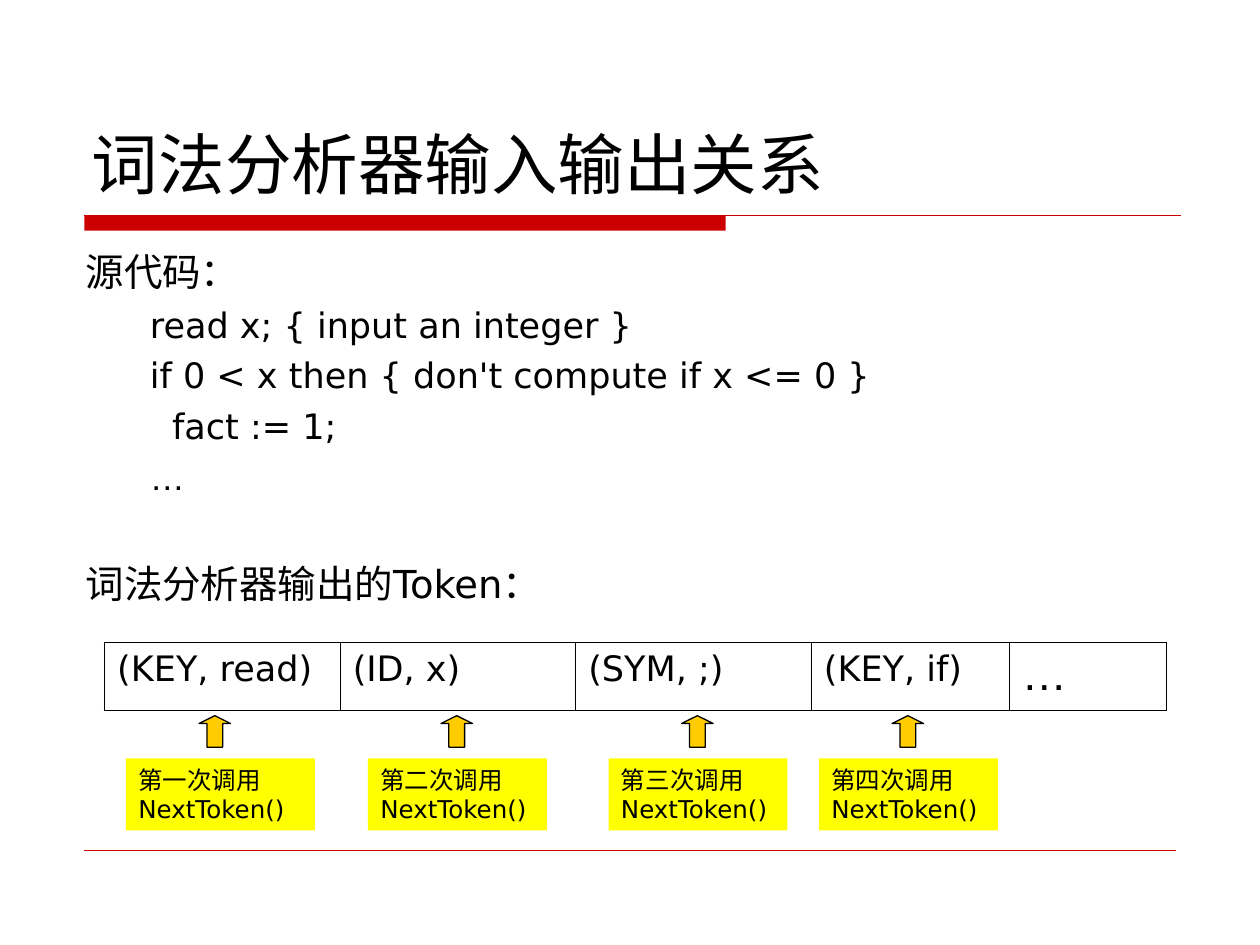
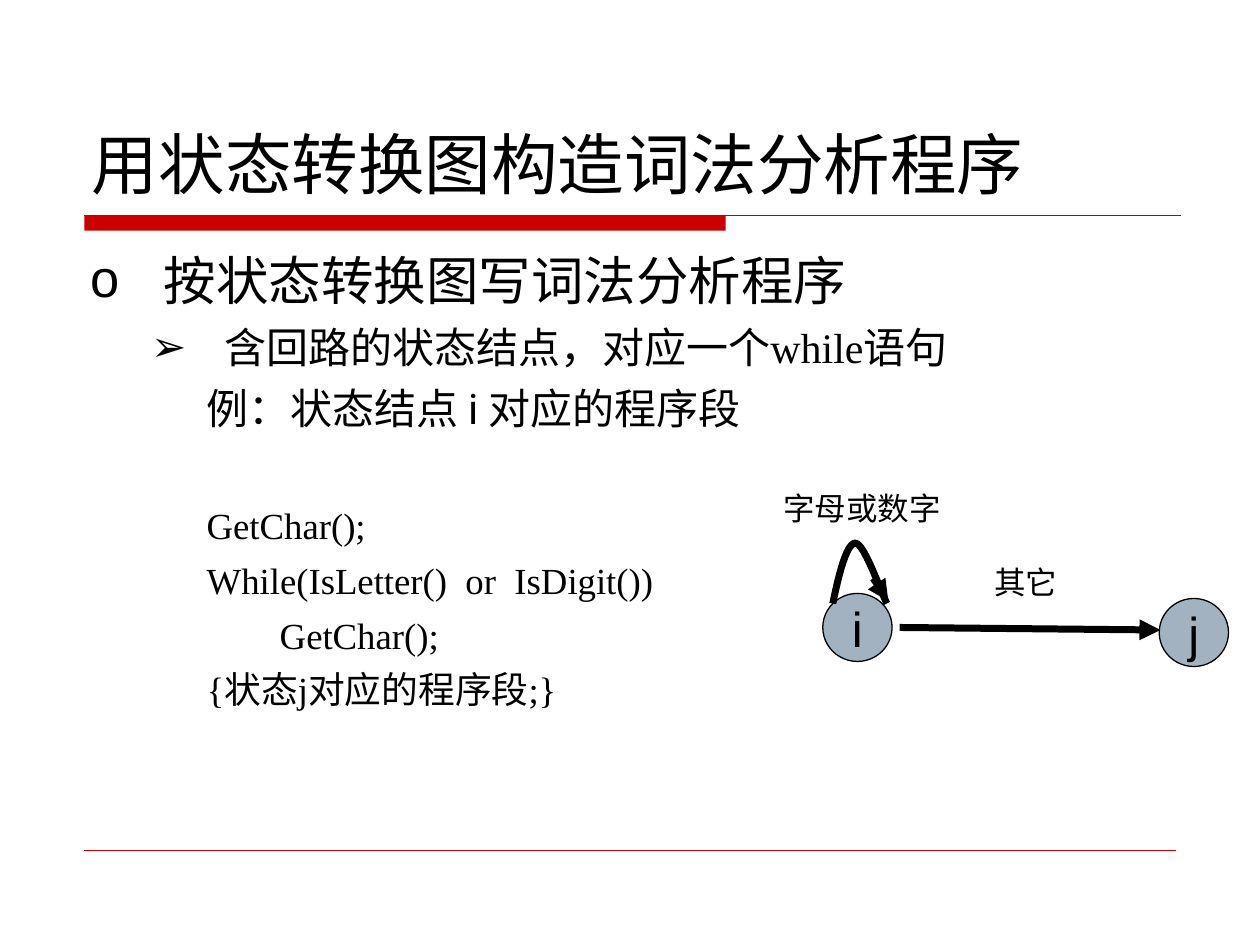
from lxml import etree
from pptx import Presentation
from pptx.dml.color import RGBColor
from pptx.enum.shapes import MSO_CONNECTOR, MSO_SHAPE
from pptx.enum.text import MSO_ANCHOR, MSO_AUTO_SIZE, PP_ALIGN
from pptx.oxml.ns import qn
from pptx.util import Inches, Pt

LEFT, CENTER, JUSTIFY = PP_ALIGN.LEFT, PP_ALIGN.CENTER, PP_ALIGN.JUSTIFY
TOP, MIDDLE, BOTTOM = MSO_ANCHOR.TOP, MSO_ANCHOR.MIDDLE, MSO_ANCHOR.BOTTOM
RECT, OVAL, ARROW = MSO_SHAPE.RECTANGLE, MSO_SHAPE.OVAL, MSO_SHAPE.UP_ARROW
STRAIGHT, FIXED = MSO_CONNECTOR.STRAIGHT, MSO_AUTO_SIZE.NONE

COLORS = {"ink": "000000", "red": "CC0000", "gold": "FFCC00",
          "yellow": "FFFF00", "node": "A3B2C1"}
SANS, SERIF, ARIAL = "DejaVu Sans", "Times New Roman", "Arial"
CJK, ROBOTO = "Noto Sans CJK SC", "Roboto"


def color(name):
    return RGBColor.from_string(COLORS[name])


def place(shape, box):
    shape.left, shape.top, shape.width, shape.height = map(Inches, box)


def style(par, size, font, align=LEFT):
    par.alignment = align
    for run in par.runs:
        run.font.size = Pt(size)
        run.font.name = font
        run.font.color.rgb = color("ink")


def bullet(par, mark, left, hang):
    """Set the indents in inches; no mark means no bullet."""
    props = par._p.get_or_add_pPr()
    props.set("marL", str(Inches(left)))
    props.set("indent", str(Inches(hang)))
    if mark:
        etree.SubElement(props, qn("a:buChar")).set("char", mark)
    else:
        etree.SubElement(props, qn("a:buNone"))


def add_line(slide, start, end, name, width, head=False):
    line = slide.shapes.add_connector(STRAIGHT, *map(Inches, start + end))
    line.line.color.rgb = color(name)
    line.line.width = Pt(width)
    if head:
        tail = etree.SubElement(line.line._get_or_add_ln(), qn("a:tailEnd"))
        tail.set("type", "triangle")
    etree.SubElement(line._element.spPr, qn("a:effectLst"))


def add_block(slide, kind, box, fill, edge=True):
    shape = slide.shapes.add_shape(kind, *map(Inches, box))
    shape.shadow.inherit = False
    shape.fill.solid()
    shape.fill.fore_color.rgb = color(fill)
    if edge:
        shape.line.color.rgb = color("ink")
        shape.line.width = Pt(0.75)
    else:
        shape.line.fill.background()
    return shape


def add_page(deck, text):
    """Add a slide with the shared title, red band and foot line."""
    slide = deck.slides.add_slide(deck.slide_layouts[1])
    title = slide.shapes.title
    place(title, (0.63, 0.33, 8.75, 1.33))
    frame = title.text_frame
    frame.text = text
    frame.auto_size = FIXED
    frame.vertical_anchor = BOTTOM
    style(frame.paragraphs[0], 38, SANS)
    add_block(slide, RECT, (0.67, 1.71, 5.09, 0.12), "red", edge=False)
    add_line(slide, (0.67, 1.71), (9.37, 1.71), "red", 0.75)
    add_line(slide, (0.67, 6.75), (9.33, 6.75), "red", 0.25)
    return slide


def fill_body(slide, box, rows, align):
    """Each row: text, size, font, space before, mark, left, hang."""
    body = slide.placeholders[1]
    place(body, box)
    frame = body.text_frame
    frame.text = "\n".join(row[0] for row in rows)
    frame.auto_size = FIXED
    frame.vertical_anchor = TOP
    for par, (_, size, font, gap, mark, left, hang) in zip(frame.paragraphs, rows):
        bullet(par, mark, left, hang)
        par.space_before = Pt(gap)
        style(par, size, font, align)
    return frame


def add_border(cell, side, width):
    props = cell._tc.get_or_add_tcPr()
    line = etree.SubElement(props, qn("a:ln" + side), w=str(Pt(width)))
    fill = etree.SubElement(line, qn("a:solidFill"))
    etree.SubElement(fill, qn("a:srgbClr")).set("val", COLORS["ink"])


def add_tokens(slide, box):
    tokens = ["(KEY, read)", "(ID, x)", "(SYM, ;)", "(KEY, if)", "…"]
    widths = [1.87, 1.87, 1.87, 1.57, 1.25]
    last = len(tokens) - 1
    table = slide.shapes.add_table(1, len(tokens), *map(Inches, box)).table
    table.first_row = table.horz_banding = False
    for i, (token, width) in enumerate(zip(tokens, widths)):
        table.columns[i].width = Inches(width)
        cell = table.cell(0, i)
        cell.text_frame.text = token
        style(cell.text_frame.paragraphs[0], *((26, ARIAL) if i == last else (20, SANS)))
        add_border(cell, "L", 0.45 if i else 1.08)
        add_border(cell, "R", 1.08 if i == last else 0.45)
        add_border(cell, "T", 1.08)
        add_border(cell, "B", 1.08)
        cell.fill.background()


def add_call(slide, box, count):
    """Add a yellow call label with an arrow above it."""
    x, y, _, _ = box
    label = add_block(slide, RECT, box, "yellow", edge=False)
    frame = label.text_frame
    frame.text = f"第{count}次调用NextToken()"
    frame.word_wrap = True
    frame.vertical_anchor = TOP
    style(frame.paragraphs[0], 14, SANS)
    arrow = add_block(slide, ARROW, (x + 0.58, y - 0.34, 0.25, 0.25), "gold")
    arrow.adjustments[0], arrow.adjustments[1] = 0.5, 0.25


def add_label(slide, box, text):
    shape = slide.shapes.add_textbox(*map(Inches, box))
    frame = shape.text_frame
    frame.text = text
    frame.word_wrap = True
    style(frame.paragraphs[0], 18, ARIAL, CENTER)


def add_node(slide, box, name):
    frame = add_block(slide, OVAL, box, "node").text_frame
    frame.text = name
    frame.word_wrap = False
    frame.vertical_anchor = MIDDLE
    style(frame.paragraphs[0], 28, ARIAL, CENTER)


def curve(a, b, c, d, steps=12):
    """Return points along a cubic curve."""
    for i in range(steps + 1):
        t = i / steps
        s = 1 - t
        yield tuple(s**3 * p + 3 * s * s * t * q + 3 * s * t * t * r + t**3 * u
                    for p, q, r, u in zip(a, b, c, d))


def add_loop(slide, x, y):
    """Draw the arc from a node to itself, with its arrowhead."""
    rise = curve((0, 0.48), (0.05, 0.24), (0.11, 0), (0.18, 0))
    fall = curve((0.18, 0), (0.25, 0), (0.39, 0.41), (0.43, 0.48))
    points = [(Inches(x + u), Inches(y + v)) for u, v in [*rise, *fall]]
    draft = slide.shapes.build_freeform(*points[0])
    draft.add_line_segments(points[1:], close=False)
    arc = draft.convert_to_shape()
    arc.shadow.inherit = False
    arc.fill.background()
    arc.line.color.rgb = color("ink")
    arc.line.width = Pt(4)
    add_line(slide, (x + 0.32, y + 0.28), (x + 0.44, y + 0.46), "ink", 4, head=True)


def add_graph(slide, box):
    x, y, width, _ = box
    add_label(slide, (x + 1.07, y + 0.59, 2.3, 0.4), "其它")
    add_node(slide, (x + 0.61, y + 0.88, 0.55, 0.54), "i")
    add_node(slide, (x + width - 0.55, y + 0.92, 0.55, 0.54), "j")
    add_line(slide, (x + 1.22, y + 1.15), (x + 3.29, y + 1.17), "ink", 4, head=True)
    add_loop(slide, x + 0.69, y + 0.48)
    add_label(slide, (x, y, 1.84, 0.4), "字母或数字")


def token_page(deck):
    slide = add_page(deck, "词法分析器输入输出关系")
    head, code = (None, 0.51, -0.51), (None, 0.51, 0)
    rows = [("源代码：", 22, SANS, 0, *head),
            ("read x; { input an integer }", 20, SANS, 5, *code),
            ("if 0 < x then { don't compute if x <= 0 }", 20, SANS, 5, *code),
            ("  fact := 1;", 20, SANS, 5, *code),
            ("…", 20, ARIAL, 5, *code),
            ("词法分析器输出的Token：", 22, SANS, 36, *head)]
    fill_body(slide, (0.58, 1.92, 9, 3), rows, LEFT)
    add_tokens(slide, (0.83, 5.1, 8.43, 0.54))
    calls = [("一", 1, 1.5), ("二", 2.92, 1.42), ("三", 4.83, 1.42), ("四", 6.5, 1.42)]
    for count, x, width in calls:
        add_call(slide, (x, 6.02, width, 0.57), count)


def state_page(deck):
    slide = add_page(deck, "用状态转换图构造词法分析程序")
    plain, inner = (None, 0.92, 0), (None, 1.5, 0)
    rows = [("按状态转换图写词法分析程序", 30, CJK, 0, "o", 0.58, -0.58),
            ("含回路的状态结点，对应一个while语句", 24, SERIF, 6, "➢", 1.06, -0.58),
            ("例：状态结点 ", 24, SANS, 6, *plain),
            ("GetChar();", 21, SERIF, 40, *plain),
            ("While(IsLetter()  or  IsDigit())", 21, SERIF, 6, *plain),
            ("GetChar();", 21, SERIF, 6, *inner),
            ("{状态j对应的程序段;}", 21, SERIF, 6, *plain)]
    frame = fill_body(slide, (0.62, 1.92, 8.75, 4.67), rows, JUSTIFY)
    case = frame.paragraphs[2]
    for text in ("i ", "对应的程序段"):
        case.add_run().text = text
    style(case, 24, SANS, JUSTIFY)
    case.runs[1].font.name = ROBOTO
    add_graph(slide, (5.92, 3.83, 3.83, 1.46))


def main():
    deck = Presentation()
    deck.slide_width, deck.slide_height = Inches(10), Inches(7.5)
    token_page(deck)
    state_page(deck)
    deck.save("out.pptx")


if __name__ == "__main__":
    main()
